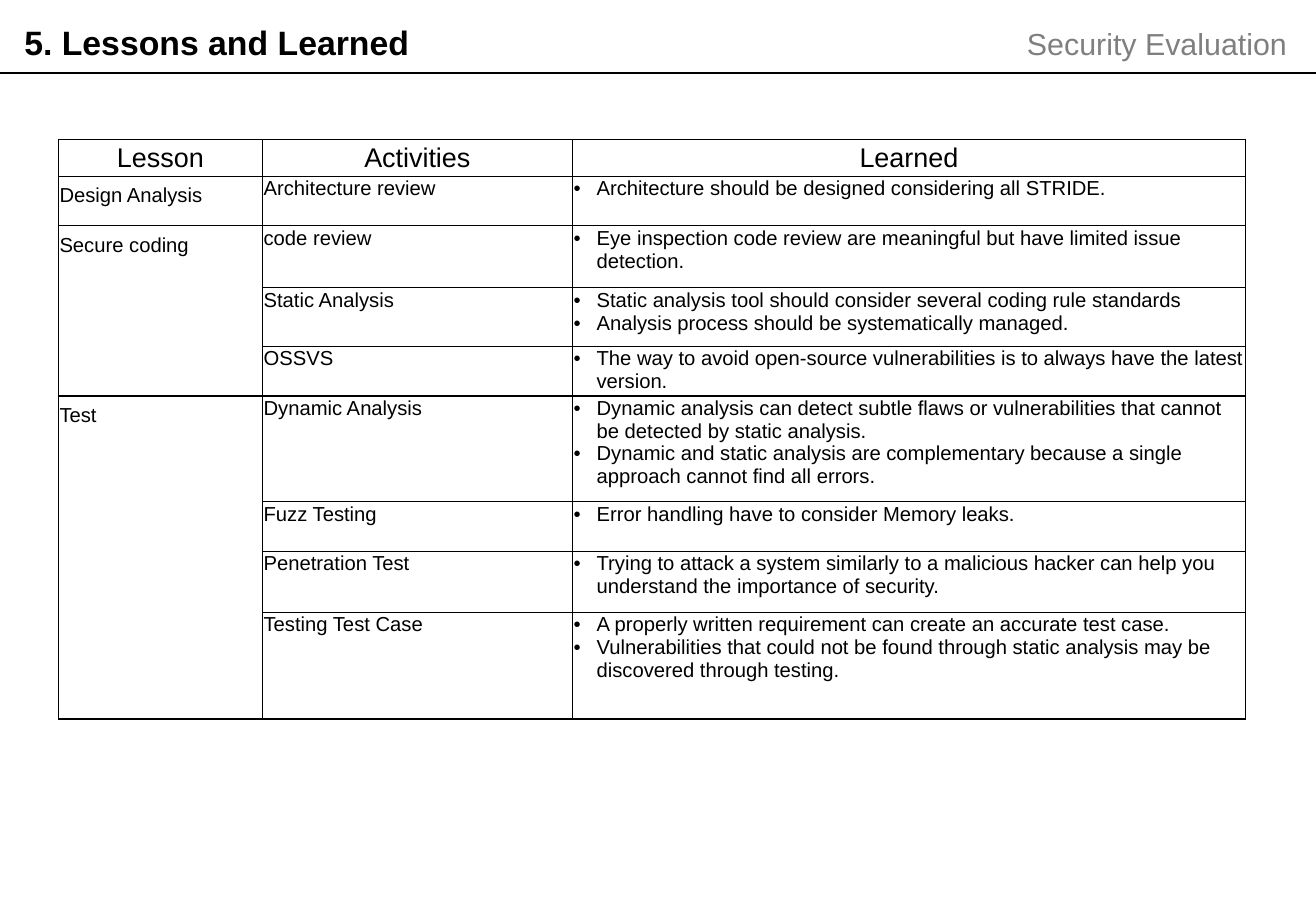
import pptx
import pptx.util
import pptx.enum.text
import pptx.dml.color
import pptx.oxml
import pptx.oxml.ns

Inches, Pt = pptx.util.Inches, pptx.util.Pt
ALIGN = pptx.enum.text.PP_ALIGN
ANCHOR = pptx.enum.text.MSO_ANCHOR
COLORS = {"black": "000000", "gray": "7F7F7F"}
NS = pptx.oxml.ns.nsdecls("a")
BORDER_PT = 0.75

COL_WIDTHS = [1.68, 2.55, 5.54]
ROW_HEIGHTS = [0.3, 0.41, 0.51, 0.48, 0.41, 0.87, 0.41, 0.5, 0.88]
HEADERS = ["Lesson", "Activities", "Learned"]
# Each lesson holds its activities, and each activity what was learned
LESSONS = [
    ("Design Analysis", [
        ("Architecture review", ["Architecture should be designed considering all STRIDE."]),
    ]),
    ("Secure coding", [
        ("code review", ["Eye inspection code review are meaningful but have limited issue detection."]),
        ("Static Analysis", [
            "Static analysis tool should consider several coding rule standards",
            "Analysis process should be systematically managed."]),
        ("OSSVS", ["The way to avoid open-source vulnerabilities is to always have the latest version."]),
    ]),
    ("Test", [
        ("Dynamic Analysis", [
            "Dynamic analysis can detect subtle flaws or vulnerabilities that cannot be detected by static analysis.",
            "Dynamic and static analysis are complementary because a single approach cannot find all errors."]),
        ("Fuzz Testing", ["Error handling have to consider Memory leaks."]),
        ("Penetration Test", [
            "Trying to attack a system similarly to a malicious hacker can help you "
            "understand the importance of security."]),
        ("Testing Test Case", [
            "A properly written requirement can create an accurate test case.",
            "Vulnerabilities that could not be found through static analysis may be discovered through testing."]),
    ]),
]


def rgb(name):
    return pptx.dml.color.RGBColor.from_string(COLORS[name])


def add_bullet(p):
    pPr = p._p.get_or_add_pPr()
    pPr.set("marL", str(Inches(0.19)))
    pPr.set("indent", str(-Inches(0.19)))
    for xml in (f'<a:buClr {NS}><a:srgbClr val="{COLORS["black"]}"/></a:buClr>',
                f'<a:buFont {NS} typeface="Arial"/>',
                f'<a:buChar {NS} char="•"/>'):
        pPr.append(pptx.oxml.parse_xml(xml))


def write(tf, *lines, size=12, color="black", bold=False, align=ALIGN.LEFT,
          spacing=None, bullet=False):
    for i, line in enumerate(lines):
        p = tf.paragraphs[0] if i == 0 else tf.add_paragraph()
        p.alignment = align
        if spacing:
            p.line_spacing = spacing
        if bullet:
            add_bullet(p)
        r = p.add_run()
        r.text = line
        r.font.name = "Arial"
        r.font.size = Pt(size)
        r.font.bold = bold
        r.font.color.rgb = rgb(color)


def place(sp, left, top, width, height):
    sp.left, sp.top = Inches(left), Inches(top)
    sp.width, sp.height = Inches(width), Inches(height)


def add_header(s):
    # Rule across the slide
    rule = s.shapes.add_connector(pptx.enum.shapes.MSO_CONNECTOR.STRAIGHT,
                                  0, Inches(0.6), Inches(10.83), Inches(0.6))
    rule.line.color.rgb = rgb("black")
    rule.line.width = Pt(0.75)
    rule._element.spPr.append(pptx.oxml.parse_xml(f"<a:effectLst {NS}/>"))

    # Title on the left
    title = s.shapes.title
    place(title, 0.1, 0.13, 6.4, 0.44)
    title.text_frame.auto_size = pptx.enum.text.MSO_AUTO_SIZE.NONE
    title.text_frame.vertical_anchor = ANCHOR.TOP
    write(title.text_frame, "5. Lessons and Learned", size=20, bold=True)

    # Section name on the right
    section = s.shapes.add_textbox(Inches(7.62), Inches(0.16), Inches(3.07), Inches(0.4))
    section.text_frame.word_wrap = True
    write(section.text_frame, "Security Evaluation", size=18, color="gray", align=ALIGN.RIGHT)


def format_cell(cell):
    cell.margin_left = cell.margin_right = cell.margin_top = Inches(0.01)
    cell.margin_bottom = 0
    cell.fill.background()
    tcPr = cell._tc.get_or_add_tcPr()
    for i, side in enumerate("LRTB"):
        tcPr.insert(i, pptx.oxml.parse_xml(
            f'<a:ln{side} {NS} w="{Pt(BORDER_PT)}"><a:solidFill>'
            f'<a:srgbClr val="{COLORS["black"]}"/></a:solidFill></a:ln{side}>'))


def add_lessons_table(s):
    frame = s.shapes.add_table(len(ROW_HEIGHTS), len(COL_WIDTHS), Inches(0.48), Inches(1.15),
                               Inches(sum(COL_WIDTHS)), Inches(sum(ROW_HEIGHTS)))
    table = frame.table
    table.first_row = table.horz_banding = False
    for column, width in zip(table.columns, COL_WIDTHS):
        column.width = Inches(width)
    for row, height in zip(table.rows, ROW_HEIGHTS):
        row.height = Inches(height)
    for cell in table.iter_cells():
        format_cell(cell)

    for col, header in enumerate(HEADERS):
        cell = table.cell(0, col)
        cell.vertical_anchor = ANCHOR.MIDDLE
        write(cell.text_frame, header, size=16, align=ALIGN.CENTER)

    row = 1
    for lesson, activities in LESSONS:
        first = table.cell(row, 0)
        if len(activities) > 1:
            first.merge(table.cell(row + len(activities) - 1, 0))
        write(first.text_frame, lesson, spacing=1.31)
        for activity, learned in activities:
            write(table.cell(row, 1).text_frame, activity)
            write(table.cell(row, 2).text_frame, *learned, bullet=True)
            row += 1


def main():
    prs = pptx.Presentation()
    prs.slide_width, prs.slide_height = Inches(10.83), Inches(7.5)
    s = prs.slides.add_slide(prs.slide_layouts[5])
    add_header(s)
    add_lessons_table(s)
    prs.save("out.pptx")


if __name__ == "__main__":
    main()
